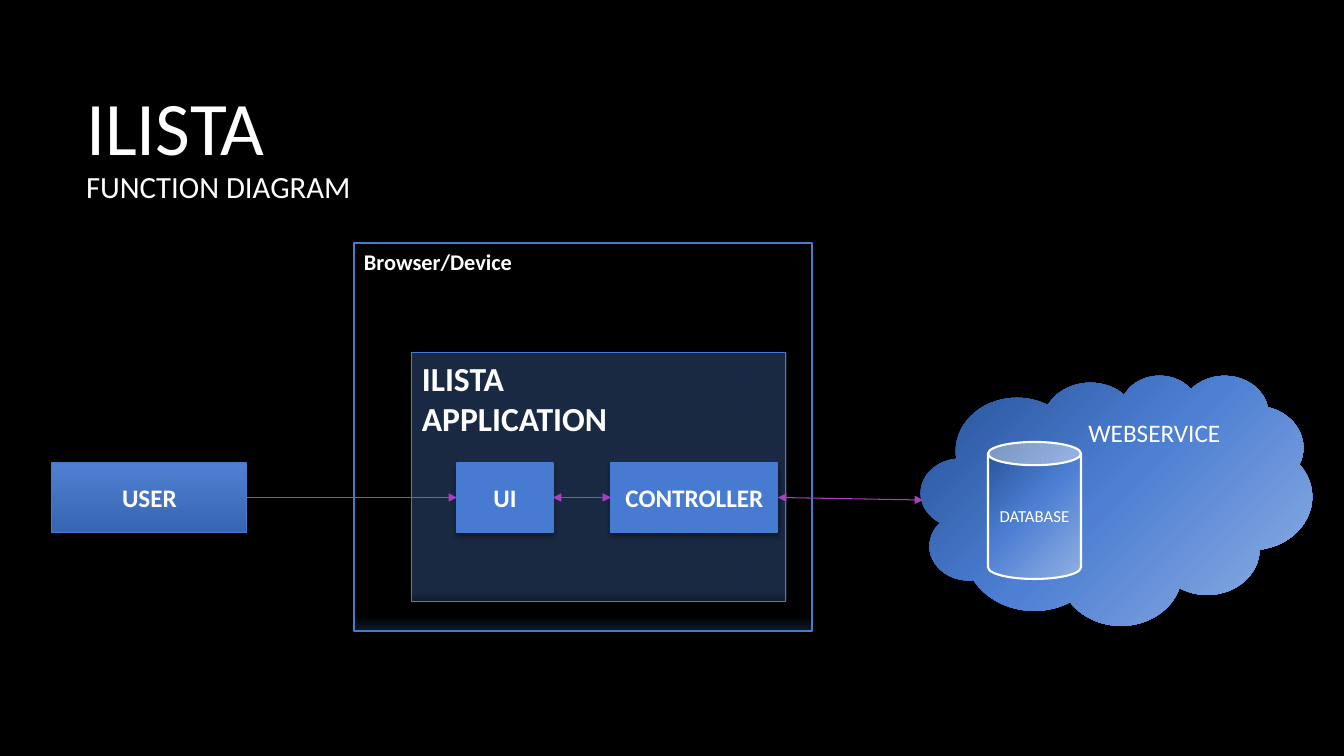
from pptx import Presentation
from pptx.dml.color import RGBColor
from pptx.enum.shapes import MSO_CONNECTOR, MSO_SHAPE
from pptx.enum.text import MSO_ANCHOR, PP_ALIGN
from pptx.oxml.ns import qn
from pptx.util import Emu, Pt
from lxml.etree import SubElement

SCALE = 914400 / 100.8
WHITE, BLUE, PURPLE = "FFFFFF", "477BD1", "AC3EC1"
TOP, LEFT, BOTTOM, RIGHT = range(4)
# Gradient stops: position, colour, opacity (all but colour in percent)
SOLID = [(0, "5180D2", 100), (100, "3665B3", 100)]
CLEAR = [(0, "5180D2", 0), (96, "5180D2", 0), (100, "3665B3", 27)]
TINT = [(0, "5180D2", 32), (96, "5180D2", 32), (100, "3665B3", 27)]
SKY = [(0, "265096", 100), (48, "4D7FD2", 100), (100, "91B0E3", 100)]


def px(num):
    return Emu(round(num * SCALE))


def color(code):
    return RGBColor.from_string(code)


def tint(node, code, alpha):
    """Add a colour with an opacity in percent to an XML node."""
    clr = SubElement(node, qn("a:srgbClr"), val=code)
    if alpha < 100:
        SubElement(clr, qn("a:alpha"), val=str(alpha * 1000))


def grade(shape, stops, angle):
    """Fill a shape with gradient stops; the angle runs clockwise."""
    shape.fill.gradient()
    grad = shape._element.spPr.find(qn("a:gradFill"))
    grad.clear()
    group = SubElement(grad, qn("a:gsLst"))
    for pos, code, alpha in stops:
        tint(SubElement(group, qn("a:gs"), pos=str(pos * 1000)), code, alpha)
    SubElement(grad, qn("a:lin"), ang=str(angle * 60000), scaled="0")


def shade(shape):
    """Drop a soft shadow straight down."""
    group = shape._element.spPr.find(qn("a:effectLst"))
    drop = SubElement(group, qn("a:outerShdw"), blurRad=str(Pt(4)),
                      dist=str(Pt(3)), dir="5400000", rotWithShape="0")
    tint(drop, "000000", 35)


def style(run, size, bold=False):
    run.font.name = "Calibri"
    run.font.size = Pt(size)
    run.font.bold = bold
    run.font.color.rgb = color(WHITE)


def draw(slide, kind, box, lines, size, bold=True, align=PP_ALIGN.CENTER,
         anchor=MSO_ANCHOR.MIDDLE, stops=None, angle=90, edge=BLUE, width=0.75):
    """Draw a shape with one paragraph for each line of text."""
    shape = slide.shapes.add_shape(kind, *map(px, box))
    shape.shadow.inherit = False
    if stops:
        grade(shape, stops, angle)
    else:
        shape.fill.solid()
        shape.fill.fore_color.rgb = color(BLUE)
    if edge:
        shape.line.color.rgb = color(edge)
        shape.line.width = Pt(width)
    else:
        shape.line.fill.background()
    frame = shape.text_frame
    frame.word_wrap = True
    frame.vertical_anchor = anchor
    for i, line in enumerate(lines):
        para = frame.add_paragraph() if i else frame.paragraphs[0]
        para.alignment = align
        run = para.add_run()
        run.text = line
        style(run, size, bold)
    return shape


def block(slide, box, lines, size=18, **opts):
    shape = draw(slide, MSO_SHAPE.FLOWCHART_PROCESS, box, lines, size, **opts)
    shade(shape)
    return shape


def link(slide, start, end, heads=("headEnd", "tailEnd")):
    """Draw an arrow; each end is a (shape, side) pair or an (x, y) point."""
    line = slide.shapes.add_connector(MSO_CONNECTOR.STRAIGHT, 0, 0, 0, 0)
    line.begin_connect(*start)
    if isinstance(end[0], int):
        line.end_x, line.end_y = map(px, end)
    else:
        line.end_connect(*end)
    line.line.color.rgb = color(PURPLE)
    line.line.width = Pt(0.75)
    pen = line.line._get_or_add_ln()
    for head in heads:
        SubElement(pen, qn("a:" + head), type="triangle")
    SubElement(line._element.spPr, qn("a:effectLst"))


def head(slide, box):
    title = slide.shapes.title
    title.left, title.top, title.width, title.height = map(px, box)
    frame = title.text_frame
    frame.word_wrap = True
    frame.vertical_anchor = MSO_ANCHOR.MIDDLE
    para = frame.paragraphs[0]
    para.alignment = PP_ALIGN.LEFT
    para.line_spacing = 0.9
    run = para.add_run()
    run.text = "ILISTA"
    style(run, 54)
    para.add_line_break()
    run = para.add_run()
    run.text = "FUNCTION DIAGRAM"
    style(run, 22)


def device(slide, box):
    """Draw the browser with the application in it; return its two parts."""
    x, y, _, _ = box
    corner = dict(align=PP_ALIGN.LEFT, anchor=MSO_ANCHOR.TOP)
    block(slide, box, ["Browser/Device"], 16, stops=CLEAR, **corner)
    block(slide, (x + 58, y + 110, 374, 249), ["ILISTA", "APPLICATION"], 24,
          stops=TINT, **corner)
    panel = block(slide, (x + 103, y + 220, 96, 69), ["UI"])
    control = block(slide, (x + 257, y + 220, 167, 69), ["CONTROLLER"])
    return panel, control


def cloud(slide, box):
    x, y, _, _ = box
    draw(slide, MSO_SHAPE.CLOUD, box, ["WEBSERVICE"], 18, bold=False,
         align=PP_ALIGN.RIGHT, anchor=MSO_ANCHOR.TOP, stops=SKY, angle=45,
         edge=None)
    draw(slide, MSO_SHAPE.CAN, (x + 67, y + 67, 93, 137), ["DATABASE"], 12,
         bold=False, stops=SKY, angle=45, edge=WHITE, width=1.5)


def main():
    deck = Presentation()
    deck.slide_width, deck.slide_height = px(1344), px(756)
    slide = deck.slides.add_slide(deck.slide_layouts[5])
    slide.background.fill.solid()
    slide.background.fill.fore_color.rgb = color("000000")
    head(slide, (76, 68, 1117, 160))
    user = block(slide, (52, 463, 195, 69), ["USER"], stops=SOLID)
    panel, control = device(slide, (354, 243, 458, 388))
    cloud(slide, (921, 375, 391, 250))
    link(slide, (user, RIGHT), (panel, LEFT), ["tailEnd"])
    link(slide, (panel, RIGHT), (control, LEFT))
    link(slide, (control, RIGHT), (923, 500))
    deck.save("out.pptx")


if __name__ == "__main__":
    main()
